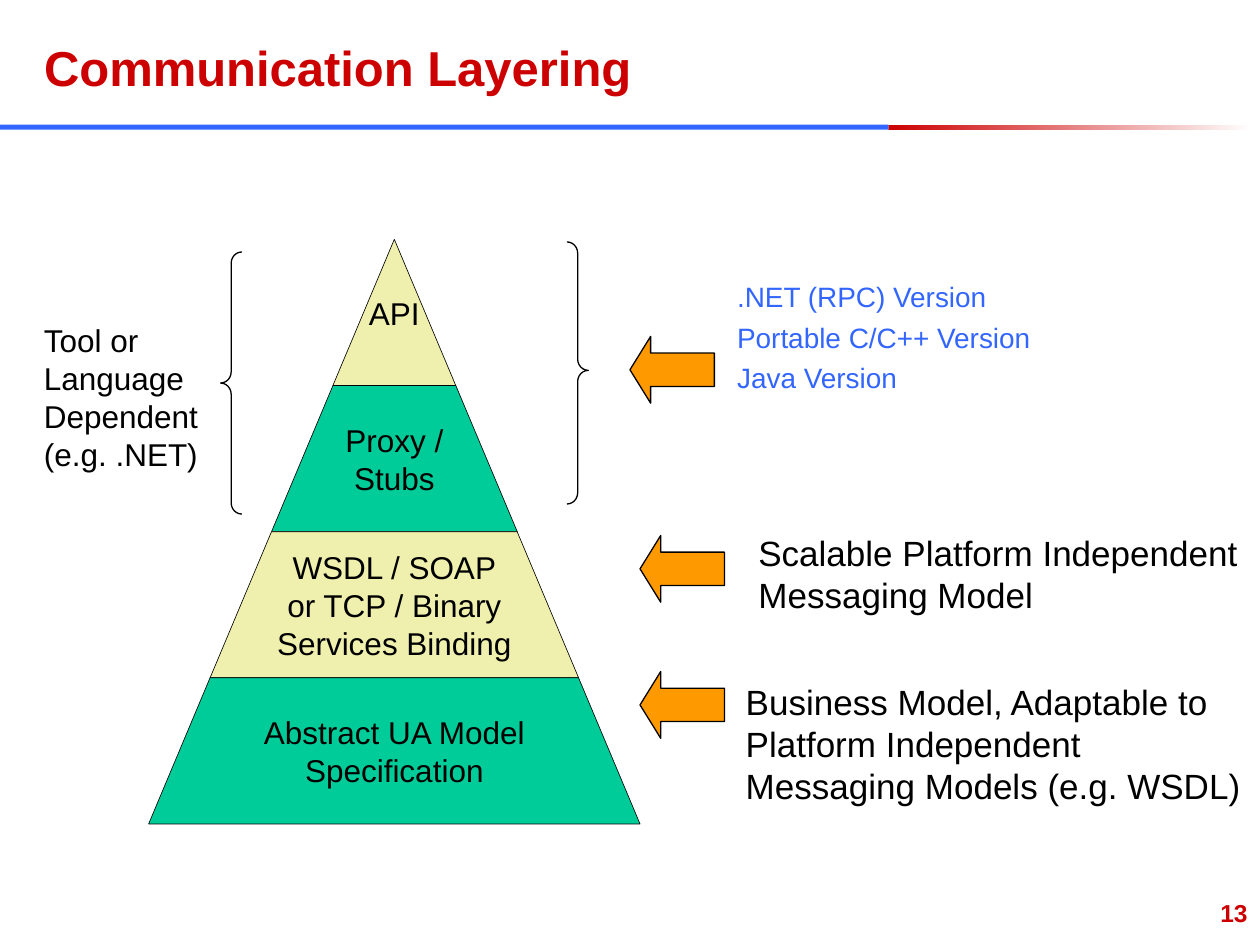
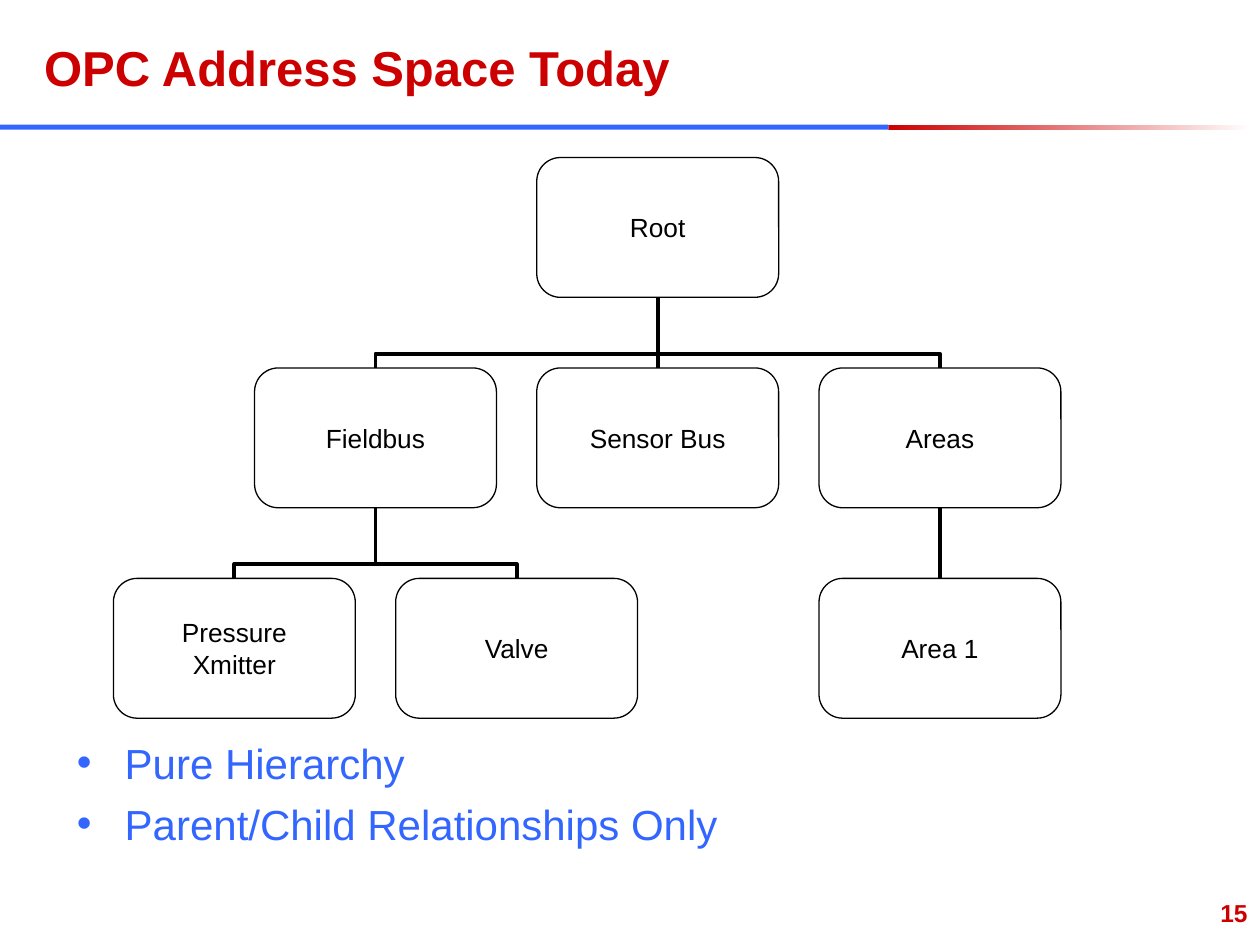
import pptx
import pptx.util
import pptx.dml.color
import pptx.enum.dml
import pptx.enum.shapes
import pptx.enum.text
import pptx.oxml.ns
import lxml.etree

Inches = pptx.util.Inches
Pt = pptx.util.Pt
RGBColor = pptx.dml.color.RGBColor
SHAPE = pptx.enum.shapes.MSO_SHAPE
CONNECTOR = pptx.enum.shapes.MSO_CONNECTOR
ALIGN = pptx.enum.text.PP_ALIGN
ANCHOR = pptx.enum.text.MSO_ANCHOR
qn = pptx.oxml.ns.qn

RED = RGBColor(0xCC, 0x00, 0x00)
BLUE = RGBColor(0x33, 0x66, 0xFF)
GREEN = RGBColor(0x00, 0xCC, 0x99)
CREAM = RGBColor(0xF0, 0xF0, 0xAE)
ORANGE = RGBColor(0xFF, 0x99, 0x00)
BLACK = RGBColor(0x00, 0x00, 0x00)
WHITE = RGBColor(0xFF, 0xFF, 0xFF)
FONT = "Arial"


def write(frame, text, size=18, color=BLACK, bold=False, align=ALIGN.LEFT,
          anchor=ANCHOR.TOP, inset=(0.1, 0.05), wrap=True, before=0,
          bullet=None, hanging=0):
    """Fill a text frame; a list gives one paragraph per item."""
    frame.word_wrap = wrap
    frame.auto_size = pptx.enum.text.MSO_AUTO_SIZE.NONE
    frame.vertical_anchor = anchor
    frame.margin_left = frame.margin_right = Inches(inset[0])
    frame.margin_top = frame.margin_bottom = Inches(inset[1])
    lines = [text] if isinstance(text, str) else text
    for i, line in enumerate(lines):
        paragraph = frame.add_paragraph() if i else frame.paragraphs[0]
        paragraph.text = line
        paragraph.alignment = align
        paragraph.space_before = Pt(before)
        for run in paragraph.runs:
            run.font.name = FONT
            run.font.size = Pt(size)
            run.font.bold = bold
            run.font.color.rgb = color
        properties = paragraph._p.get_or_add_pPr()
        properties.set("marL", str(Inches(hanging)))
        properties.set("indent", str(-Inches(hanging)))
        if bullet:
            mark = lxml.etree.SubElement(properties, qn("a:buChar"))
            mark.set("char", bullet)
        else:
            lxml.etree.SubElement(properties, qn("a:buNone"))


class Deck:
    def __init__(self):
        self.file = pptx.Presentation()
        self.file.slide_width = Inches(10)
        self.file.slide_height = Inches(7.5)
        self.slide = None

    def new_slide(self, title, number):
        """Start a slide with the shared title, two-part rule and number."""
        self.slide = self.file.slides.add_slide(self.file.slide_layouts[1])
        fade = self.shape(SHAPE.RECTANGLE, (7.05, 0.99, 2.88, 0.04), fill=RED)
        fade.fill.gradient()
        fade.fill.gradient_angle = 0
        for stop, color in zip(fade.fill.gradient_stops, (RED, WHITE)):
            stop.color.rgb = color
        fade.fill.gradient_stops[0].position = 0
        fade.fill.gradient_stops[1].position = 1
        self.shape(SHAPE.RECTANGLE, (0, 0.99, 7.05, 0.04), fill=BLUE)
        heading = self.slide.shapes.title
        self.place(heading, (0.25, 0.25, 6.83, 0.58))
        write(heading.text_frame, title, size=28, color=RED, bold=True)
        self.label((7.92, 7.08, 2.08, 0.42), str(number), size=14, color=RED,
                   bold=True, align=ALIGN.RIGHT)

    def place(self, item, box):
        item.left, item.top, item.width, item.height = map(Inches, box)

    def paint(self, item, fill=None, line=None):
        item.shadow.inherit = False
        if fill is None:
            item.fill.background()
        else:
            item.fill.solid()
            item.fill.fore_color.rgb = fill
        if line is None:
            item.line.fill.background()
        else:
            item.line.color.rgb = BLACK
            item.line.width = Pt(line)

    def shape(self, kind, box, fill=None, line=None, adjust=()):
        item = self.slide.shapes.add_shape(kind, *map(Inches, box))
        self.paint(item, fill, line)
        for i, value in enumerate(adjust):
            item.adjustments[i] = value
        return item

    def polygon(self, points, fill, line):
        corners = [(Inches(x), Inches(y)) for x, y in points]
        builder = self.slide.shapes.build_freeform(*corners[0])
        builder.add_line_segments(corners[1:], close=True)
        item = builder.convert_to_shape()
        self.paint(item, fill, line)
        return item

    def label(self, box, text, **style):
        item = self.slide.shapes.add_textbox(*map(Inches, box))
        write(item.text_frame, text, **style)

    def body(self, box, lines, **style):
        item = self.slide.placeholders[1]
        self.place(item, box)
        write(item.text_frame, lines, color=BLUE, **style)

    def branch(self, parent, child):
        """Join the parent's bottom to the child's top, bending near the child."""
        shift = child.left - parent.left
        kind = CONNECTOR.ELBOW if shift else CONNECTOR.STRAIGHT
        line = self.slide.shapes.add_connector(kind, 0, 0, 0, 0)
        line.begin_connect(parent, 2)
        line.end_connect(child, 0)
        line.line.color.rgb = BLACK
        line.line.width = Pt(2.25)
        properties = line._element.spPr
        lxml.etree.SubElement(properties, qn("a:effectLst"))
        if not shift:
            return
        # A quarter turn makes the elbow leave vertically
        middle_x, middle_y = line.left + line.width // 2, line.top + line.height // 2
        line.width, line.height = line.height, line.width
        line.left, line.top = middle_x - line.width // 2, middle_y - line.height // 2
        frame = properties.find(qn("a:xfrm"))
        frame.set("rot", "5400000")
        frame.set("flipH", "0")
        frame.set("flipV", "1" if shift > 0 else "0")
        geometry = properties.find(qn("a:prstGeom"))
        guide = lxml.etree.SubElement(geometry.find(qn("a:avLst")), qn("a:gd"))
        guide.set("name", "adj1")
        guide.set("fmla", "val 80000")


def communication_layering(deck):
    deck.new_slide("Communication Layering", 13)

    # Pyramid, from the tip down
    layers = ["API", "Proxy /\nStubs",
              ["WSDL / SOAP", "or TCP / Binary\nServices Binding"],
              "Abstract UA Model\nSpecification"]
    apex_x, apex_y, layer_height, half_base = 3.13, 1.9, 1.16, 1.95
    half_step = half_base / len(layers)
    for i, text in enumerate(layers):
        top, bottom = apex_y + i * layer_height, apex_y + (i + 1) * layer_height
        inner, outer = i * half_step, (i + 1) * half_step
        layer = deck.polygon(
            [(apex_x - outer, bottom), (apex_x + outer, bottom),
             (apex_x + inner, top), (apex_x - inner, top)],
            fill=GREEN if i % 2 else CREAM, line=0.37)
        write(layer.text_frame, text, align=ALIGN.CENTER, anchor=ANCHOR.MIDDLE,
              inset=(0, 0), wrap=False)

    # Braces around the tool dependent layers
    deck.shape(SHAPE.LEFT_BRACE, (1.75, 2, 0.17, 2.08), line=0.75,
               adjust=(0.52, 0.5))
    deck.shape(SHAPE.RIGHT_BRACE, (4.5, 1.92, 0.17, 2.08), line=0.75,
               adjust=(0.52, 0.49))
    deck.label((0.25, 2.5, 1.43, 1.3),
               "Tool or\nLanguage\nDependent\n(e.g. .NET)")

    # Arrows and what they explain
    for x, y in [(5, 2.67), (5.08, 4.25), (5.08, 5.33)]:
        deck.shape(SHAPE.LEFT_ARROW, (x, y, 0.67, 0.53), fill=ORANGE,
                   line=0.75, adjust=(0.5, 0.31))
    deck.body((5.75, 2.17, 3.83, 1.67),
              [".NET (RPC) Version", "Portable C/C++ Version", "Java Version"],
              size=16, before=4)
    deck.label((5.92, 4.17, 4.08, 0.77),
               "Scalable Platform Independent Messaging Model", size=20)
    deck.label((5.82, 5.35, 4.18, 1.1),
               ["Business Model, Adaptable to",
                "Platform Independent Messaging Models (e.g. WSDL)"], size=20)


def address_space(deck):
    deck.new_slide("OPC Address Space Today", 15)

    # Nodes: text, parent, column in half steps, row
    tree = [("Root", None, 3, 0),
            ("Fieldbus", "Root", 1, 1),
            ("Sensor Bus", "Root", 3, 1),
            ("Areas", "Root", 5, 1),
            ("Pressure\nXmitter", "Fieldbus", 0, 2),
            ("Valve", "Fieldbus", 2, 2),
            ("Area 1", "Areas", 5, 2)]
    nodes = {}
    for text, parent, column, row in tree:
        node = deck.shape(SHAPE.ROUNDED_RECTANGLE,
                          (0.9 + 1.12 * column, 1.25 + 1.67 * row, 1.92, 1.11),
                          fill=WHITE, line=0.75, adjust=(0.17,))
        write(node.text_frame, text, size=15, align=ALIGN.CENTER,
              anchor=ANCHOR.MIDDLE, inset=(0, 0), wrap=False)
        nodes[text] = node
        if parent:
            deck.branch(nodes[parent], node)

    # Summary
    deck.body((0.51, 5.8, 9, 1.2),
              ["Pure Hierarchy", "Parent/Child Relationships Only"],
              size=24, before=6, bullet="•", hanging=0.38)


def main():
    deck = Deck()
    communication_layering(deck)
    address_space(deck)
    deck.file.save("out.pptx")


if __name__ == "__main__":
    main()
